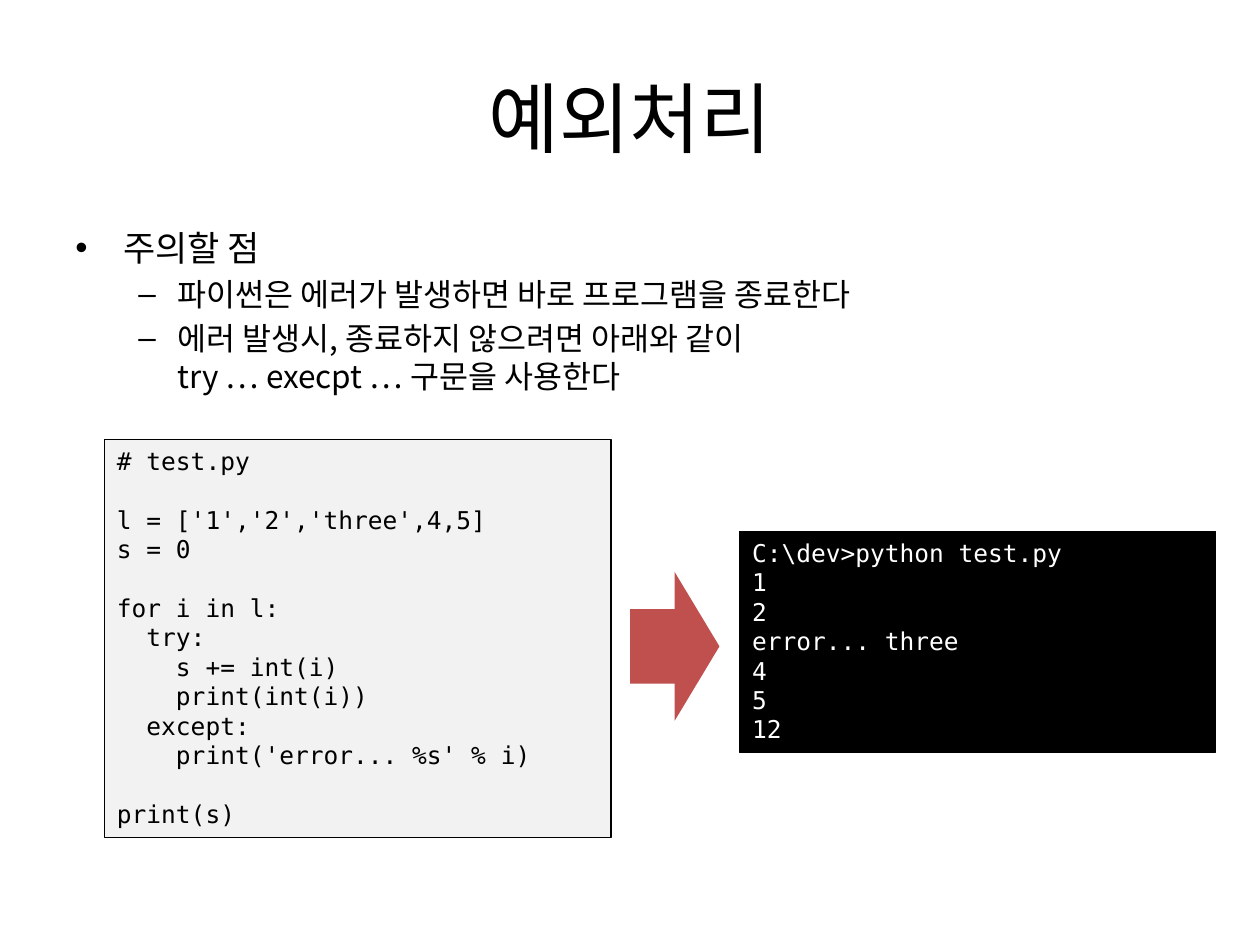
from dataclasses import dataclass

from lxml.etree import SubElement
from pptx import Presentation
from pptx.dml.color import RGBColor
from pptx.enum.shapes import MSO_SHAPE
from pptx.enum.text import MSO_ANCHOR, MSO_AUTO_SIZE, PP_ALIGN
from pptx.oxml.ns import qn
from pptx.util import Inches, Pt


@dataclass(frozen=True)
class Theme:
    sans: str = "Noto Sans CJK KR"
    mono: str = "DejaVu Sans Mono"
    black: str = "000000"
    white: str = "FFFFFF"
    paper: str = "F2F2F2"
    accent: str = "C0504D"
    title_size: int = 44
    topic_size: int = 20
    point_size: int = 18
    code_size: int = 14
    outline: float = 0.75


THEME = Theme()
COLUMNS, ROWS = 100, 75
WIDTH, HEIGHT = Inches(10), Inches(7.5)

TITLE = "예외처리"
POINTS = [
    (0, "주의할 점"),
    (1, "파이썬은 에러가 발생하면 바로 프로그램을 종료한다"),
    (1, "에러 발생시, 종료하지 않으려면 아래와 같이\ntry … execpt … 구문을 사용한다"),
]
BULLETS = [
    ("•", THEME.topic_size, 0.38, 0.38),
    ("–", THEME.point_size, 0.81, 0.31),
]
SOURCE_CODE = """# test.py

l = ['1','2','three',4,5]
s = 0

for i in l:
  try:
    s += int(i)
    print(int(i))
  except:
    print('error... %s' % i)

print(s)"""
OUTPUT = r"""C:\dev>python test.py
1
2
error... three
4
5
12"""


def grid(column, row, columns, rows):
    return (
        round(WIDTH * column / COLUMNS),
        round(HEIGHT * row / ROWS),
        round(WIDTH * columns / COLUMNS),
        round(HEIGHT * rows / ROWS),
    )


def style_paragraph(para, font, size, color):
    for span in para.runs:
        span.font.name = font
        span.font.size = Pt(size)
        span.font.color.rgb = RGBColor.from_string(color)
        SubElement(span.font._element, qn("a:ea"), typeface=font)
    if not para.runs:
        end = SubElement(para._p, qn("a:endParaRPr"), sz=str(size * 100))
        SubElement(end, qn("a:latin"), typeface=font)


def add_text_box(page, cells):
    frame = page.shapes.add_textbox(*grid(*cells)).text_frame
    frame.word_wrap = True
    return frame


def add_title(page, cells, text):
    frame = add_text_box(page, cells)
    frame.vertical_anchor = MSO_ANCHOR.MIDDLE
    frame.text = text
    para = frame.paragraphs[0]
    para.alignment = PP_ALIGN.CENTER
    style_paragraph(para, THEME.sans, THEME.title_size, THEME.black)


def add_bullet_list(page, cells, points):
    frame = add_text_box(page, cells)
    for index, (level, text) in enumerate(points):
        para = frame.add_paragraph() if index else frame.paragraphs[0]
        bullet, size, margin, hanging = BULLETS[level]
        para.text = text
        para.level = level
        para.space_before = Pt(size * 0.2)
        style_paragraph(para, THEME.sans, size, THEME.black)
        properties = para._p.get_or_add_pPr()
        properties.set("marL", str(Inches(margin)))
        properties.set("indent", str(-Inches(hanging)))
        SubElement(properties, qn("a:buFont"), typeface="Arial")
        SubElement(properties, qn("a:buChar"), char=bullet)


def add_filled_shape(page, kind, cells, fill):
    shape = page.shapes.add_shape(kind, *grid(*cells))
    shape.shadow.inherit = False
    shape.fill.solid()
    shape.fill.fore_color.rgb = RGBColor.from_string(fill)
    shape.line.fill.background()
    return shape


def add_code_box(page, cells, text, fill, color):
    box = add_filled_shape(page, MSO_SHAPE.RECTANGLE, cells, fill)
    box.line.color.rgb = RGBColor.from_string(THEME.black)
    box.line.width = Pt(THEME.outline)
    frame = box.text_frame
    frame.text = text
    frame.word_wrap = True
    frame.auto_size = MSO_AUTO_SIZE.SHAPE_TO_FIT_TEXT
    frame.vertical_anchor = MSO_ANCHOR.TOP
    for para in frame.paragraphs:
        para.alignment = PP_ALIGN.LEFT
        style_paragraph(para, THEME.mono, THEME.code_size, color)


def main():
    deck = Presentation()
    deck.slide_width, deck.slide_height = WIDTH, HEIGHT
    page = deck.slides.add_slide(deck.slide_layouts[6])
    add_title(page, (5, 3, 90, 12.5), TITLE)
    add_bullet_list(page, (5, 17.5, 90, 49.5), POINTS)
    add_code_box(page, (8.3, 34.9, 40.2, 31.6), SOURCE_CODE, THEME.paper, THEME.black)
    add_code_box(page, (58.7, 42.2, 37.8, 17.5), OUTPUT, THEME.black, THEME.white)
    add_filled_shape(page, MSO_SHAPE.RIGHT_ARROW, (50, 45.4, 7.1, 11.8), THEME.accent)
    deck.save("out.pptx")


if __name__ == "__main__":
    main()
